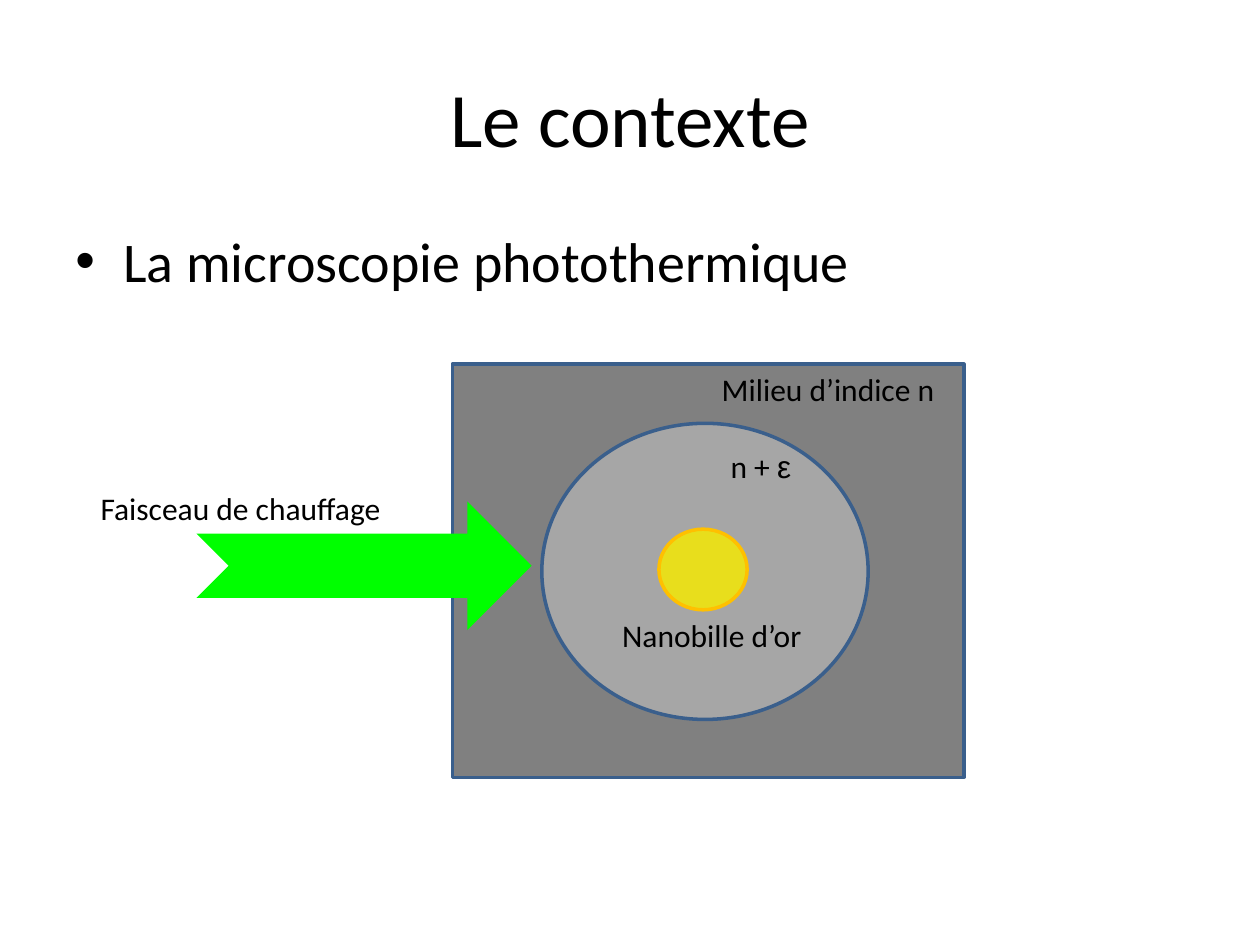
from dataclasses import dataclass
from lxml.etree import SubElement
from pptx import Presentation
from pptx.dml.color import RGBColor
from pptx.enum.shapes import MSO_SHAPE
from pptx.enum.text import MSO_ANCHOR, PP_ALIGN
from pptx.oxml.ns import qn
from pptx.util import Inches, Pt


@dataclass(frozen=True)
class Theme:
    """Colours, fonts and sizes of the slide."""
    ink: str = "000000"
    edge: str = "3A5F8C"
    medium: str = "808080"
    halo: str = "A6A6A6"
    gold: str = "E8DE1C"
    rim: str = "FFC000"
    beam: str = "00FF00"
    font: str = "Calibri"
    greek: str = "Arial"
    title: int = 44
    body: int = 32
    label: int = 18
    stroke: int = 2


T = Theme()

# kind, box (left, top, width, height), fill, line
SHAPES = [
    (MSO_SHAPE.RECTANGLE, (3.59, 2.89, 4.06, 3.28), T.medium, T.edge),
    (MSO_SHAPE.OVAL, (4.3, 3.36, 2.59, 2.35), T.halo, T.edge),
    (MSO_SHAPE.OVAL, (5.23, 4.2, 0.7, 0.64), T.gold, T.rim),
    (MSO_SHAPE.NOTCHED_RIGHT_ARROW, (1.56, 3.98, 2.66, 1.02), T.beam, None),
]

# box, runs (text, font), size, frame format, paragraph format, bullet indent
TEXTS = [
    ((0.5, 0.3, 9, 1.25), [("Le contexte", T.font)], T.title,
     {"vertical_anchor": MSO_ANCHOR.MIDDLE}, {"alignment": PP_ALIGN.CENTER}, 0),
    ((0.5, 1.75, 9, 4.95), [("La microscopie photothermique", T.font)], T.body,
     {}, {"space_before": Pt(6)}, 0.38),
]

# left, top, width, runs
LABELS = [
    (5.7, 3.5, 0.94, [("n + ", T.font), ("ε", T.greek)]),
    (5.63, 2.89, 3.44, [("Milieu d’indice n", T.font)]),
    (0.7, 3.83, 2.5, [("Faisceau de chauffage", T.font)]),
    (4.84, 4.84, 4.06, [("Nanobille d’or", T.font)]),
]
TEXTS += [((x, y, w, 0.4), runs, T.label, {}, {}, 0)
          for x, y, w, runs in LABELS]


def apply(item, form):
    """Set each attribute named in a format dict."""
    for key, value in form.items():
        setattr(item, key, value)


def place(box):
    """Turn a box in inches into lengths."""
    return [Inches(v) for v in box]


def draw(slide, kind, box, fill, line):
    """Add one filled shape, outlined if a line colour is given."""
    shape = slide.shapes.add_shape(kind, *place(box))
    shape.shadow.inherit = False
    shape.fill.solid()
    shape.fill.fore_color.rgb = RGBColor.from_string(fill)
    if line:
        shape.line.color.rgb = RGBColor.from_string(line)
        shape.line.width = Pt(T.stroke)
    else:
        shape.line.fill.background()


def bullet(para, indent):
    """Give a paragraph a hanging round bullet."""
    props = para._p.get_or_add_pPr()
    props.set("marL", str(Inches(indent)))
    props.set("indent", str(-Inches(indent)))
    SubElement(props, qn("a:buFont"), typeface=T.greek)
    SubElement(props, qn("a:buChar"), char="•")


def write(slide, box, runs, size, frame, form, indent):
    """Add one text box with a single paragraph."""
    text = slide.shapes.add_textbox(*place(box)).text_frame
    apply(text, {"word_wrap": True, **frame})
    para = text.paragraphs[0]
    apply(para, form)
    if indent:
        bullet(para, indent)
    for words, font in runs:
        run = para.add_run()
        run.text = words
        apply(run.font, {"name": font, "size": Pt(size)})
        run.font.color.rgb = RGBColor.from_string(T.ink)


def main():
    """Build and save the slide."""
    deck = Presentation()
    apply(deck, {"slide_width": Inches(10), "slide_height": Inches(7.5)})
    slide = deck.slides.add_slide(deck.slide_layouts[6])
    for shape in SHAPES:
        draw(slide, *shape)
    for text in TEXTS:
        write(slide, *text)
    deck.save("out.pptx")


main()
